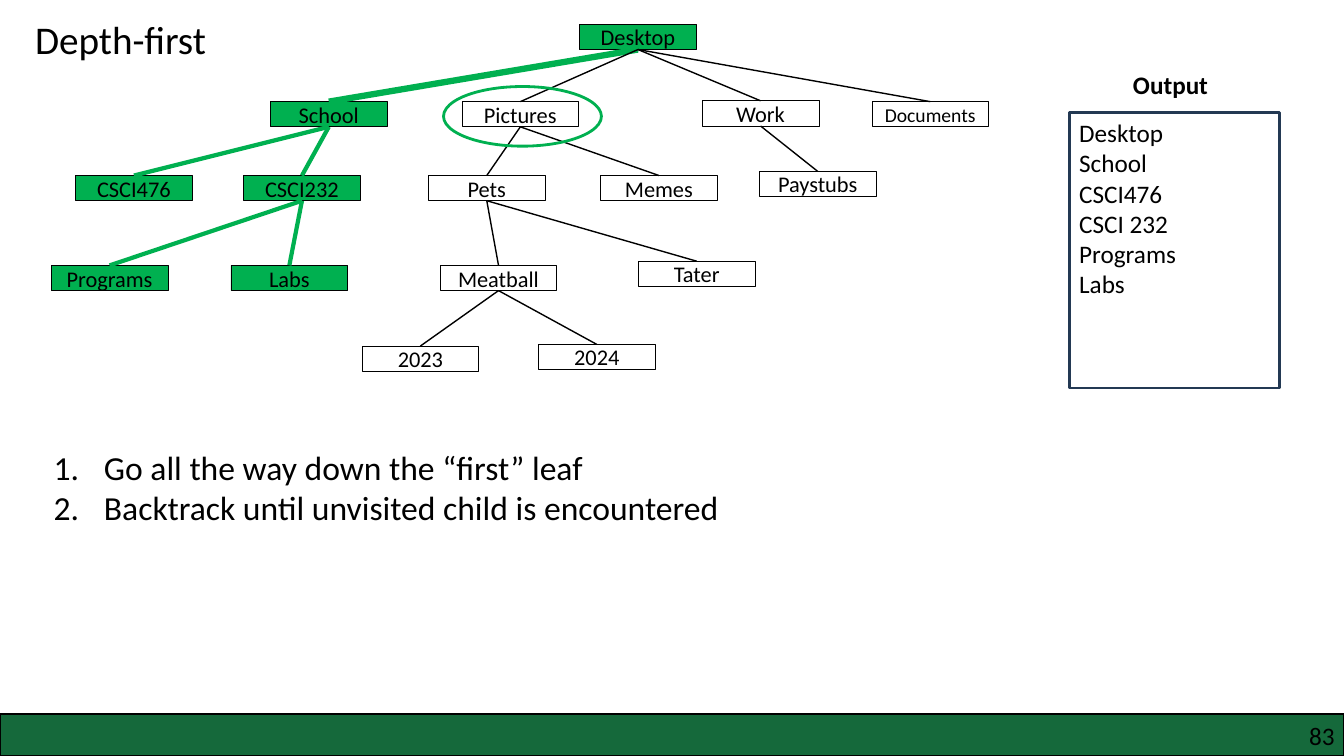
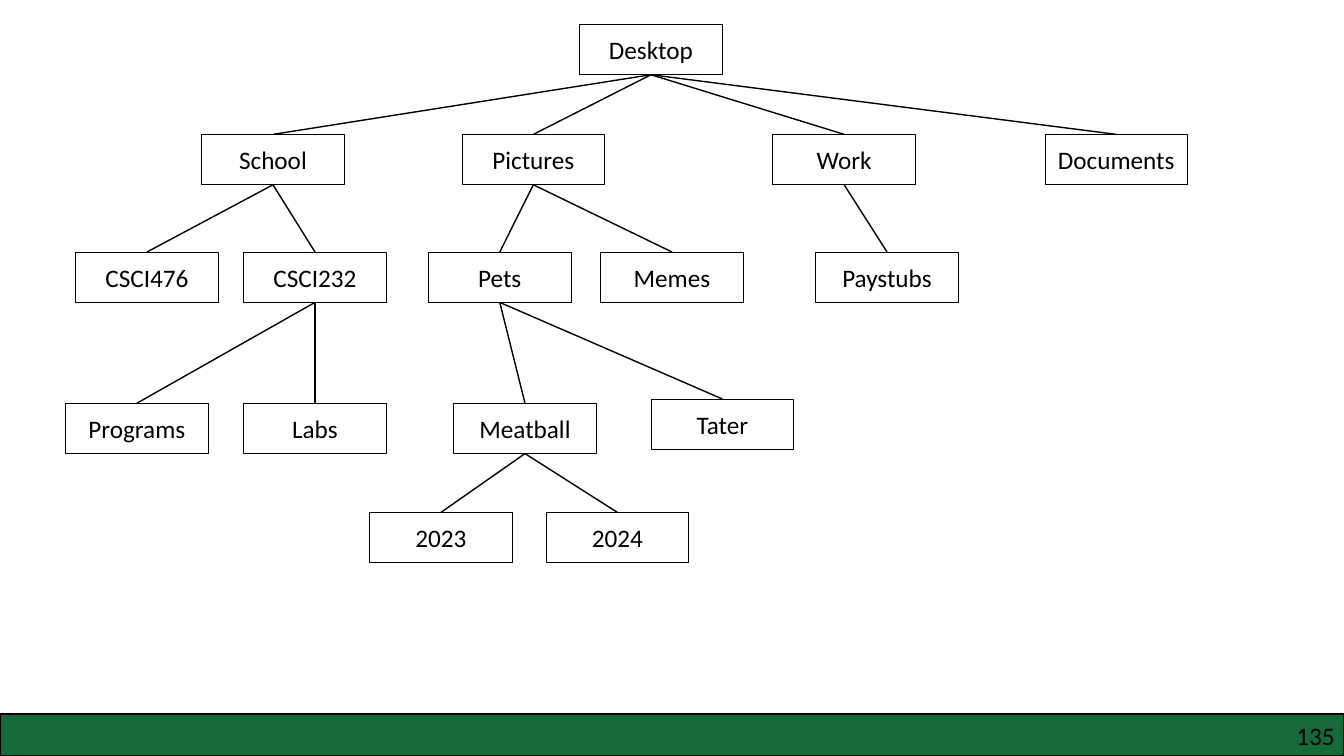
import dataclasses
import typing

import lxml.etree
import pptx
import pptx.dml.color
import pptx.enum.shapes
import pptx.enum.text
import pptx.oxml
import pptx.oxml.ns
import pptx.shapes.autoshape
import pptx.slide
import pptx.util

SHAPE = pptx.enum.shapes.MSO_SHAPE
ALIGN = pptx.enum.text.PP_ALIGN
ANCHOR = pptx.enum.text.MSO_ANCHOR


@dataclasses.dataclass(frozen=True)
class Theme:
    font: str = "Calibri"
    ink: str = "000000"
    paper: str = "FFFFFF"
    visited: str = "00B050"
    band: str = "15693B"
    frame: str = "233953"
    title: float = 28
    steps: float = 24
    body: float = 18
    node: float = 16
    small: float = 14


class Box(typing.NamedTuple):
    col: float
    row: float
    cols: float
    rows: float


@dataclasses.dataclass(frozen=True)
class Tree:
    spots: dict[str, tuple[float, float]]
    cols: float
    rows: float
    size: float
    sizes: dict[str, float] = dataclasses.field(default_factory=dict)
    visited: tuple[str, ...] = ()


THEME = Theme()
COLS, ROWS = 160, 90
CELL = pptx.util.Inches(7.5) / ROWS
ROOT = "Desktop"
CHILDREN = {
    ROOT: ("School", "Pictures", "Work", "Documents"),
    "School": ("CSCI476", "CSCI232"),
    "Pictures": ("Pets", "Memes"),
    "Work": ("Paystubs",),
    "CSCI232": ("Programs", "Labs"),
    "Pets": ("Meatball", "Tater"),
    "Meatball": ("2023", "2024"),
}

SEARCH_TREE = Tree(
    spots={
        ROOT: (69, 2.9),
        "School": (32.2, 12.1), "Pictures": (55, 12.1),
        "Work": (83.6, 12), "Documents": (103.8, 12.1),
        "CSCI476": (9, 20.9), "CSCI232": (29, 20.9), "Pets": (51, 20.9),
        "Memes": (71.5, 20.9), "Paystubs": (90.4, 20.4),
        "Programs": (6.1, 31.6), "Labs": (27.5, 31.6),
        "Meatball": (52.4, 31.6), "Tater": (76, 31.1),
        "2023": (43.1, 41.2), "2024": (64.1, 41),
    },
    cols=13.9, rows=3, size=THEME.node, sizes={"Documents": THEME.small},
    visited=(ROOT, "School", "CSCI476", "CSCI232", "Programs", "Labs"),
)
FULL_TREE = Tree(
    spots={
        ROOT: (69, 2.9),
        "School": (24, 16), "Pictures": (55, 16),
        "Work": (92, 16), "Documents": (124.4, 16),
        "CSCI476": (9, 30), "CSCI232": (29, 30), "Pets": (51, 30),
        "Memes": (71.5, 30), "Paystubs": (97.1, 30),
        "Programs": (7.8, 48), "Labs": (29, 48),
        "Meatball": (54, 48), "Tater": (77.5, 47.5),
        "2023": (44, 61), "2024": (65, 61),
    },
    cols=17, rows=6, size=THEME.body,
)


def rgb(color: str) -> pptx.dml.color.RGBColor:
    """Turn a hex string into a colour."""
    return pptx.dml.color.RGBColor.from_string(color)


def place(box: Box) -> tuple[int, ...]:
    """Turn grid cells into slide lengths."""
    return tuple(round(n * CELL) for n in box)


def write(sp: pptx.shapes.autoshape.Shape, *lines: str, size: float = THEME.body,
          bold: bool = False, align: ALIGN = ALIGN.LEFT, anchor: ANCHOR = ANCHOR.TOP,
          inset: bool = True, numbered: bool = False) -> None:
    """Fill a shape with one paragraph per line."""
    tf = sp.text_frame
    tf.word_wrap = True
    tf.vertical_anchor = anchor
    if not inset:
        tf.margin_left = tf.margin_right = tf.margin_top = tf.margin_bottom = 0
    for i, line in enumerate(lines):
        p = tf.add_paragraph() if i else tf.paragraphs[0]
        p.alignment = align
        if numbered:
            pPr = p._p.get_or_add_pPr()
            indent = pptx.util.Inches(0.5)
            pPr.set("marL", str(indent))
            pPr.set("indent", str(-indent))
            lxml.etree.SubElement(pPr, pptx.oxml.ns.qn("a:buFont"), typeface="+mj-lt")
            lxml.etree.SubElement(pPr, pptx.oxml.ns.qn("a:buAutoNum"), type="arabicPeriod")
        r = p.add_run()
        r.text = line
        r.font.name = THEME.font
        r.font.size = pptx.util.Pt(size)
        r.font.bold = bold
        r.font.color.rgb = rgb(THEME.ink)


def add_text(s: pptx.slide.Slide, box: Box, *lines: str, **style: typing.Any) -> None:
    """Add a formatted text box."""
    write(s.shapes.add_textbox(*place(box)), *lines, **style)


def add_shape(s: pptx.slide.Slide, box: Box, kind: SHAPE = SHAPE.RECTANGLE,
              fill: str | None = None, line: str = THEME.ink,
              width: float = 0.5) -> pptx.shapes.autoshape.Shape:
    """Add an outlined shape, filled if a colour is given."""
    sp = s.shapes.add_shape(kind, *place(box))
    sp.shadow.inherit = False
    if fill:
        sp.fill.solid()
        sp.fill.fore_color.rgb = rgb(fill)
    else:
        sp.fill.background()
    sp.line.color.rgb = rgb(line)
    sp.line.width = pptx.util.Pt(width)
    return sp


def add_edge(s: pptx.slide.Slide, parent: pptx.shapes.autoshape.Shape,
             child: pptx.shapes.autoshape.Shape, color: str, width: float) -> None:
    """Join the bottom of a parent to the top of its child."""
    edge = s.shapes.add_connector(pptx.enum.shapes.MSO_CONNECTOR.STRAIGHT, 0, 0, 0, 0)
    edge.begin_connect(parent, 2)
    edge.end_connect(child, 0)
    edge.line.color.rgb = rgb(color)
    edge.line.width = pptx.util.Pt(width)
    lxml.etree.SubElement(edge._element.spPr, pptx.oxml.ns.qn("a:effectLst"))


def add_tree(s: pptx.slide.Slide, tree: Tree) -> None:
    """Draw the folders and the edges between them."""
    nodes = {}
    for name, (col, row) in tree.spots.items():
        fill = THEME.visited if name in tree.visited else THEME.paper
        nodes[name] = add_shape(s, Box(col, row, tree.cols, tree.rows), fill=fill)
        write(nodes[name], name, size=tree.sizes.get(name, tree.size),
              align=ALIGN.CENTER, anchor=ANCHOR.MIDDLE)
    for parent, children in CHILDREN.items():
        for child in children:
            color, width = THEME.ink, 1
            if child in tree.visited:
                color, width = THEME.visited, 4.5 if parent == ROOT else 3
            add_edge(s, nodes[parent], nodes[child], color, width)


def add_slide(prs: typing.Any, number: int) -> pptx.slide.Slide:
    """Add a blank slide with the footer band and page number."""
    s = prs.slides.add_slide(prs.slide_layouts[6])
    add_shape(s, Box(0, 85, COLS, 5), fill=THEME.band, width=1)
    add_text(s, Box(122, 85.8, 36.9, 3.6), str(number), align=ALIGN.RIGHT, inset=False)
    return s


def add_search_slide(prs: typing.Any) -> None:
    """Show the depth-first search partway through."""
    s = add_slide(prs, 83)
    add_tree(s, SEARCH_TREE)
    add_text(s, Box(3, 1.2, 24.2, 6.8), "Depth-first", size=THEME.title)
    output = add_shape(s, Box(127.3, 13.4, 25, 32.8), line=THEME.frame, width=2)
    write(output, "Desktop", "School", "CSCI476", "CSCI 232", "Programs", "Labs")
    add_text(s, Box(133.7, 7.7, 12.4, 4.8), "Output", bold=True)
    add_text(s, Box(5.2, 52.6, 90, 10.9), "Go all the way down the “first” leaf",
             "Backtrack until unvisited child is encountered",
             size=THEME.steps, numbered=True)
    add_shape(s, Box(52.8, 10.3, 18.8, 7.1), SHAPE.OVAL, line=THEME.visited, width=2)


def main() -> None:
    """Build and save the presentation."""
    prs = pptx.Presentation()
    prs.slide_width, prs.slide_height = round(COLS * CELL), round(ROWS * CELL)
    add_search_slide(prs)
    add_tree(add_slide(prs, 135), FULL_TREE)
    prs.save("out.pptx")


if __name__ == "__main__":
    main()
